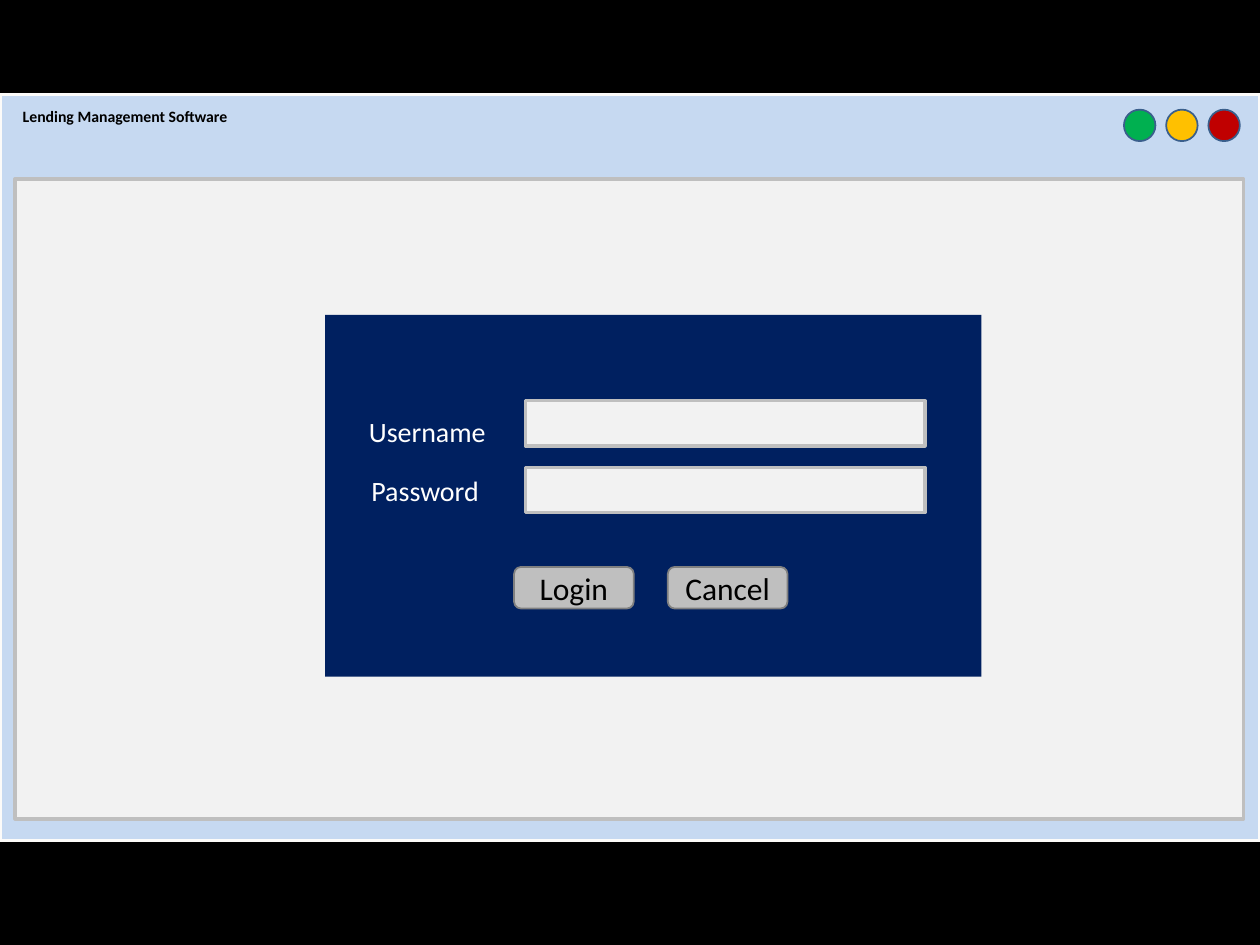
import pptx
import pptx.util
import pptx.dml.color
import pptx.enum.shapes
import pptx.enum.text

Inches = pptx.util.Inches
Pt = pptx.util.Pt
SHAPES = pptx.enum.shapes.MSO_SHAPE
ALIGN = pptx.enum.text.PP_ALIGN
ANCHOR = pptx.enum.text.MSO_ANCHOR


def paint(color_format, color):
    color_format.rgb = pptx.dml.color.RGBColor.from_string(color)


def write(shape, text, size, color, align, anchor, bold=False):
    frame = shape.text_frame
    frame_format = {"word_wrap": False, "vertical_anchor": anchor,
                    "auto_size": pptx.enum.text.MSO_AUTO_SIZE.NONE}
    for name, value in frame_format.items():
        setattr(frame, name, value)
    paragraph = frame.paragraphs[0]
    paragraph.alignment = align
    run = paragraph.add_run()
    run.text = text
    for name, value in {"name": "Calibri", "size": Pt(size), "bold": bold}.items():
        setattr(run.font, name, value)
    paint(run.font.color, color)


deck = pptx.Presentation()
deck.slide_width, deck.slide_height = Inches(10), Inches(7.5)
slide = deck.slides.add_slide(deck.slide_layouts[5])
slide.background.fill.solid()
paint(slide.background.fill.fore_color, "000000")

# Window, its buttons, the content area and the login form
parts = [
    # geometry, left, top, width, height, fill, line, line width, caption
    (SHAPES.RECTANGLE, 0, 0.75, 10, 5.92, "C6D9F1", "FCFBF9", 2, None),
    (SHAPES.RECTANGLE, 0.12, 1.42, 9.75, 5.08, "F2F2F2", "BFBFBF", 2, None),
    (SHAPES.RECTANGLE, 2.58, 2.5, 5.21, 2.87, "002060", None, 0, None),
]
for i, color in enumerate(["00B050", "FFC000", "C00000"]):
    parts.append((SHAPES.OVAL, 8.92 + i * 0.335, 0.87, 0.25, 0.25, color, "3A5F8C", 1, None))
for field_top in (3.18, 3.71):
    parts.append((SHAPES.RECTANGLE, 4.17, field_top, 3.17, 0.36, "F2F2F2", "BFBFBF", 2, None))
for button_left, caption in ((4.08, "Login"), (5.3, "Cancel")):
    parts.append((SHAPES.ROUNDED_RECTANGLE, button_left, 4.5, 0.95, 0.33,
                  "BFBFBF", "808080", 1, caption))

for geometry, left, top, width, height, fill, line, line_width, caption in parts:
    part = slide.shapes.add_shape(geometry, Inches(left), Inches(top),
                                  Inches(width), Inches(height))
    part.shadow.inherit = False
    part.fill.solid()
    paint(part.fill.fore_color, fill)
    if line:
        paint(part.line.color, line)
        part.line.width = Pt(line_width)
    else:
        part.line.fill.background()
    if caption:
        write(part, caption, 18, "000000", ALIGN.CENTER, ANCHOR.MIDDLE)

# Field labels
for text, left, top, width in (("Username", 2.83, 3.24, 1.14), ("Password", 2.85, 3.71, 1.07)):
    label = slide.shapes.add_textbox(Inches(left), Inches(top), Inches(width), Inches(0.37))
    write(label, text, 16, "FFFFFF", ALIGN.LEFT, ANCHOR.TOP)

# Window title, brought in front of the window
window_title = slide.shapes.title
title_place = {"left": 0.08, "top": 0.8, "width": 1.86, "height": 0.25}
for name, value in title_place.items():
    setattr(window_title, name, Inches(value))
write(window_title, "Lending Management Software", 9, "000000", ALIGN.LEFT, ANCHOR.TOP, bold=True)
window_title._element.getparent().append(window_title._element)

deck.save("out.pptx")
